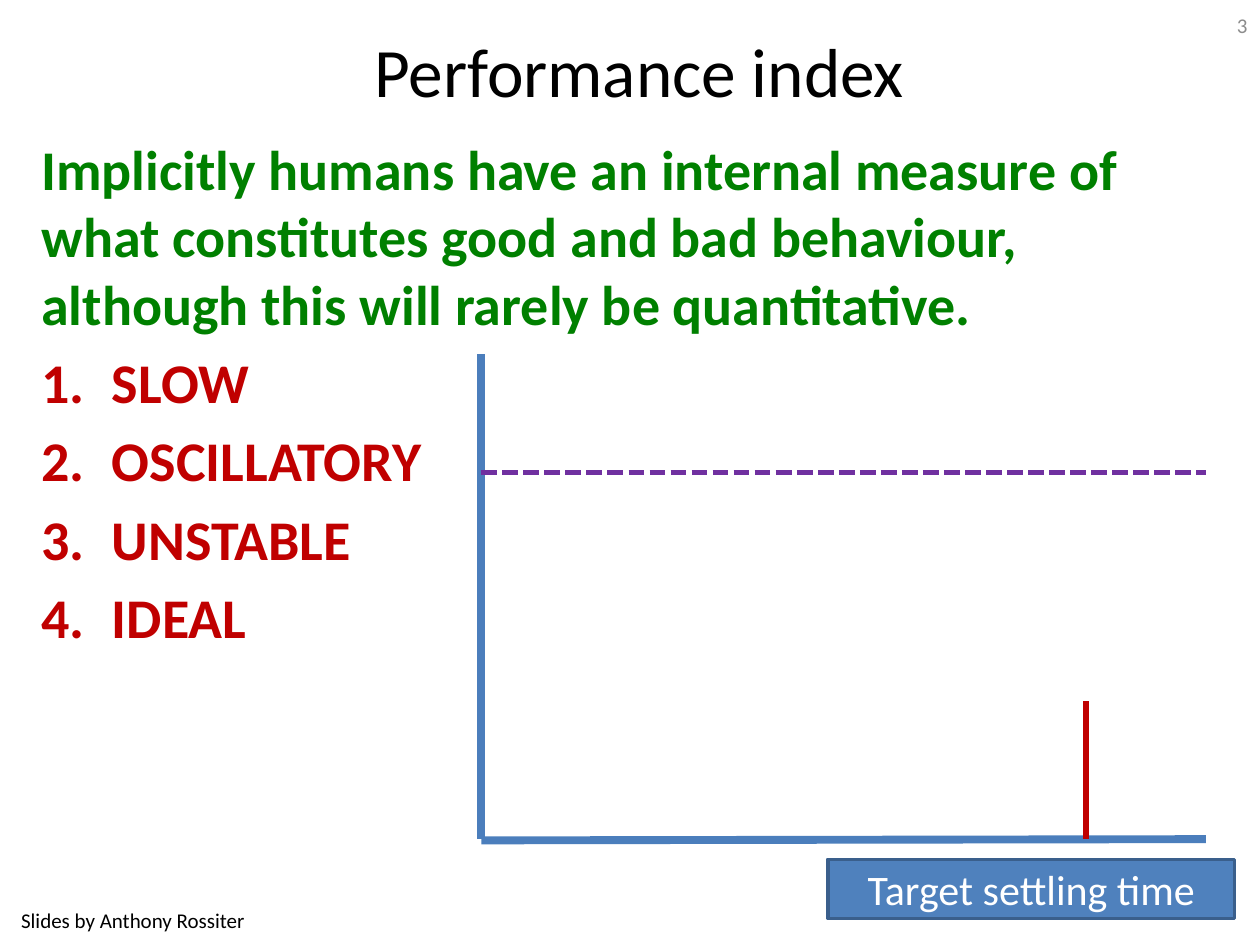
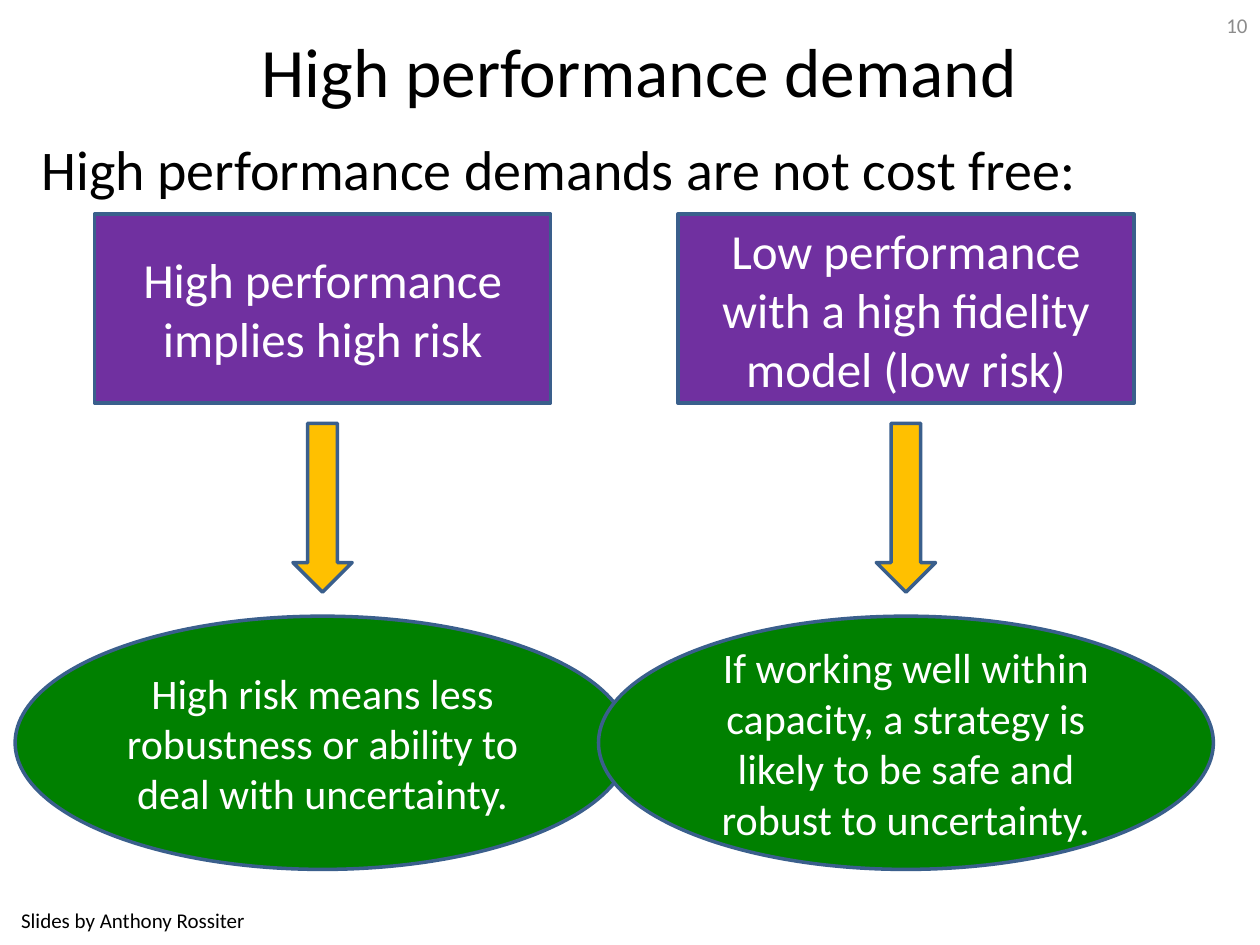
"""Build two slides on performance indices and the cost of high performance."""
import pptx
import pptx.util
import pptx.dml.color
import pptx.enum.dml
import pptx.enum.shapes
import pptx.enum.text
import pptx.oxml.ns
import lxml.etree

Inches = pptx.util.Inches
Pt = pptx.util.Pt
SHAPE = pptx.enum.shapes.MSO_SHAPE
ALIGN = pptx.enum.text.PP_ALIGN
ANCHOR = pptx.enum.text.MSO_ANCHOR
DASH = pptx.enum.dml.MSO_LINE

FONT = "Calibri"
COLOURS = {
    "black": "000000", "white": "FFFFFF", "grey": "8C8C8C",
    "green": "008000", "red": "C00000", "purple": "7030A0",
    "amber": "FFC000", "blue": "4F81BD", "axis": "4B7EBC", "outline": "3A5F8C",
}

FOOTER = "Slides by Anthony Rossiter"
INDEX_TITLE = "Performance index"
INDEX_INTRO = ("Implicitly humans have an internal measure of what constitutes good "
               "and bad behaviour, although this will rarely be quantitative.")
BEHAVIOURS = ["SLOW", "OSCILLATORY", "UNSTABLE", "IDEAL"]
TARGET_LABEL = "Target settling time"

DEMAND_TITLE = "High performance demand"
DEMAND_INTRO = "High performance demands are not cost free:"
TRADE_OFFS = [
    ("High performance implies high risk",
     "High risk means less robustness or ability to deal with uncertainty."),
    ("Low performance with a high fidelity model (low risk)",
     "If working well within capacity, a strategy is likely to be safe and "
     "robust to uncertainty."),
]

AXIS_LEFT, AXIS_RIGHT, AXIS_TOP, AXIS_BOTTOM = 3.82, 9.57, 2.81, 6.66
TARGET_LEVEL, SETTLING_X, SETTLING_TOP = 3.75, 8.62, 5.56
PLOT_LINES = [
    ((AXIS_LEFT, AXIS_TOP), (AXIS_LEFT, AXIS_BOTTOM), "axis", 4.5, None),
    ((AXIS_RIGHT, AXIS_BOTTOM), (AXIS_LEFT, AXIS_BOTTOM + 0.01), "axis", 4.5, None),
    ((AXIS_LEFT, TARGET_LEVEL), (AXIS_RIGHT, TARGET_LEVEL), "purple", 3, DASH.SQUARE_DOT),
    ((SETTLING_X, AXIS_BOTTOM), (SETTLING_X, SETTLING_TOP), "red", 3, None),
]

FIRST_CENTRE, CENTRE_STEP = 2.56, 4.63
FLOW_PARTS = [
    (SHAPE.RECTANGLE, 1.7, 3.62, 1.5, "purple", 28),
    (SHAPE.DOWN_ARROW, 3.36, 0.47, 1.34, "amber", None),
    (SHAPE.OVAL, 4.89, 4.88, 2.01, "green", 24),
]


def rgb(colour):
    return pptx.dml.color.RGBColor.from_string(COLOURS[colour])


def write(paragraph, text, size, colour, align=ALIGN.LEFT, bold=False):
    paragraph.alignment = align
    run = paragraph.add_run()
    run.text = text
    run.font.name = FONT
    run.font.size = Pt(size)
    run.font.bold = bold
    run.font.color.rgb = rgb(colour)


def add_box(slide, box, anchor=ANCHOR.MIDDLE):
    frame = slide.shapes.add_textbox(*map(Inches, box)).text_frame
    frame.word_wrap = True
    frame.vertical_anchor = anchor
    return frame


def add_base_slide(presentation, title, number):
    slide = presentation.slides.add_slide(presentation.slide_layouts[6])
    for box, text, size, colour, align in [
        ((0.7, 0.16, 8.75, 0.78), title, 39.6, "black", ALIGN.CENTER),
        ((0, 7.1, 2.11, 0.4), FOOTER, 12, "black", ALIGN.CENTER),
        ((8.91, 0, 1.09, 0.4), str(number), 12, "grey", ALIGN.RIGHT),
    ]:
        write(add_box(slide, box).paragraphs[0], text, size, colour, align)
    return slide


def add_body(slide, box, text, colour, bold=False):
    frame = add_box(slide, box, ANCHOR.TOP)
    write(frame.paragraphs[0], text, 32, colour, bold=bold)
    return frame


def add_numbered(frame, text):
    paragraph = frame.add_paragraph()
    properties = paragraph._p.get_or_add_pPr()
    properties.set("marL", str(Inches(0.56)))
    properties.set("indent", str(-Inches(0.56)))
    numbering = lxml.etree.SubElement(properties, pptx.oxml.ns.qn("a:buAutoNum"))
    numbering.set("type", "arabicPeriod")
    paragraph.space_before = Pt(6.4)
    write(paragraph, text, 32, "red", bold=True)


def add_line(slide, start, end, colour, width, dash):
    line = slide.shapes.add_connector(
        pptx.enum.shapes.MSO_CONNECTOR.STRAIGHT, *map(Inches, start + end))
    line.line.color.rgb = rgb(colour)
    line.line.width = Pt(width)
    if dash:
        line.line.dash_style = dash
    lxml.etree.SubElement(line._element.spPr, pptx.oxml.ns.qn("a:effectLst"))


def add_filled(slide, kind, box, fill, text=None, size=None):
    shape = slide.shapes.add_shape(kind, *map(Inches, box))
    shape.shadow.inherit = False
    shape.fill.solid()
    shape.fill.fore_color.rgb = rgb(fill)
    shape.line.color.rgb = rgb("outline")
    shape.line.width = Pt(2)
    if text:
        shape.text_frame.word_wrap = True
        shape.text_frame.vertical_anchor = ANCHOR.MIDDLE
        write(shape.text_frame.paragraphs[0], text, size, "white", ALIGN.CENTER)


def build_index_slide(presentation):
    slide = add_base_slide(presentation, INDEX_TITLE, 3)
    body = add_body(slide, (0.23, 1.02, 9.18, 6.17), INDEX_INTRO, "green", True)
    for behaviour in BEHAVIOURS:
        add_numbered(body, behaviour)
    for plot_line in PLOT_LINES:
        add_line(slide, *plot_line)
    add_filled(slide, SHAPE.RECTANGLE, (6.57, 6.82, 3.23, 0.47), "blue", TARGET_LABEL, 24)


def build_demand_slide(presentation):
    slide = add_base_slide(presentation, DEMAND_TITLE, 10)
    add_body(slide, (0.23, 1.02, 9.53, 2.18), DEMAND_INTRO, "black")
    for column, (cause, effect) in enumerate(TRADE_OFFS):
        centre = FIRST_CENTRE + column * CENTRE_STEP
        for part, text in zip(FLOW_PARTS, (cause, None, effect)):
            kind, top, width, height, fill, size = part
            box = (centre - width / 2, top, width, height)
            add_filled(slide, kind, box, fill, text, size)


def main():
    presentation = pptx.Presentation()
    presentation.slide_width = Inches(10)
    presentation.slide_height = Inches(7.5)
    build_index_slide(presentation)
    build_demand_slide(presentation)
    presentation.save("out.pptx")


if __name__ == "__main__":
    main()
